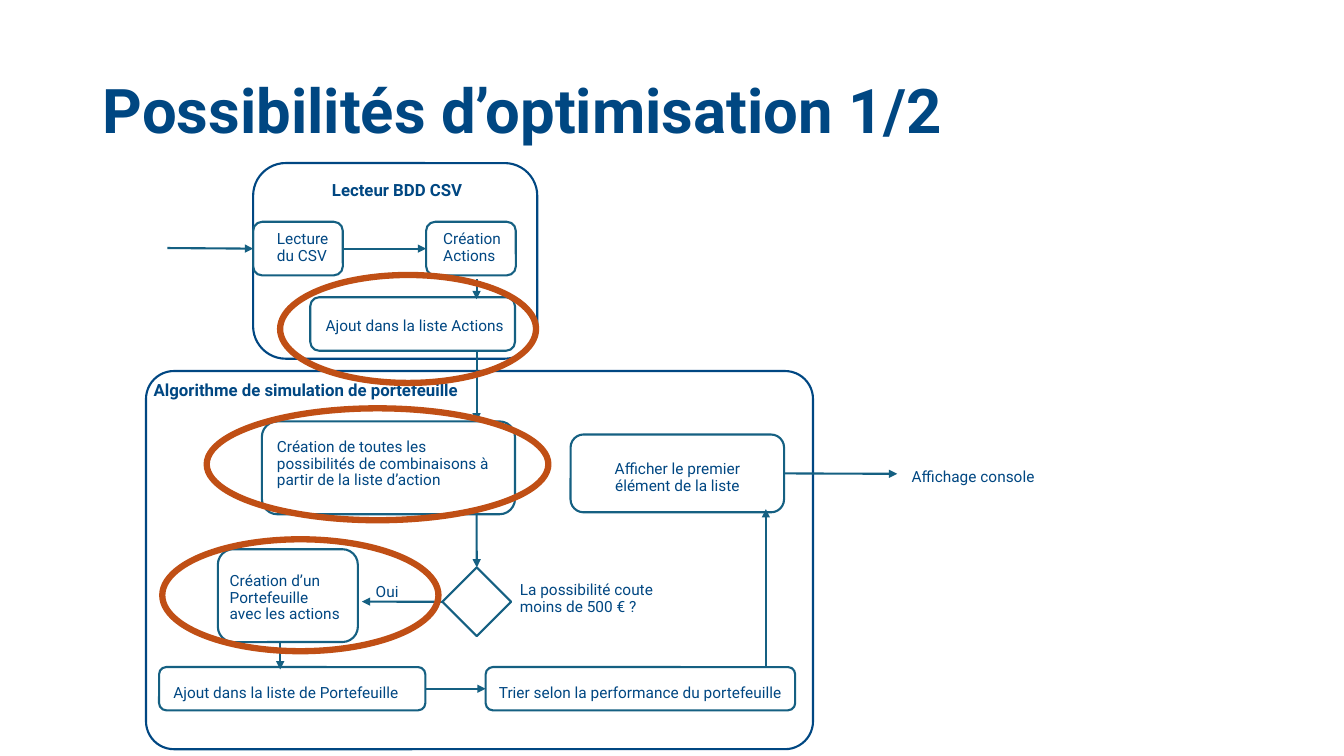
from lxml.etree import SubElement
from pptx import Presentation
from pptx.dml.color import RGBColor
from pptx.enum.shapes import MSO_CONNECTOR, MSO_SHAPE as Shape
from pptx.enum.text import MSO_ANCHOR, PP_ALIGN as Align
from pptx.oxml.ns import qn
from pptx.util import Cm, Pt

NAVY = RGBColor(0x00, 0x47, 0x82)
TEAL = RGBColor(0x15, 0x60, 0x82)
RUST = RGBColor(0xC0, 0x4F, 0x15)
TOP, LEFT, RIGHT = 0, 1, 3
SPINE = 12.01


class FlowSlide:
    """Draws the parts of a flowchart on one slide in a shared style."""

    body = {"name": "Roboto", "size": Pt(11), "bold": False}
    heading = {"name": "Roboto", "size": Pt(12), "bold": True}
    title = {"name": "Roboto", "size": Pt(44), "bold": True}
    frame_format = {"word_wrap": True, "vertical_anchor": MSO_ANCHOR.MIDDLE}

    def __init__(self, slide):
        self.shapes = slide.shapes

    def outline(self, area, kind=Shape.ROUNDED_RECTANGLE, color=TEAL, width=1.5, corner=None):
        figure = self.shapes.add_shape(kind, *map(Cm, area))
        figure.shadow.inherit = False
        figure.fill.background()
        figure.line.color.rgb = color
        figure.line.width = Pt(width)
        if corner is not None:
            figure.adjustments[0] = corner
        return figure

    def text(self, wording, area, align=Align.LEFT, style=body):
        frame = self.shapes.add_textbox(*map(Cm, area)).text_frame
        for key, value in self.frame_format.items():
            setattr(frame, key, value)
        frame.text = wording
        for paragraph in frame.paragraphs:
            paragraph.alignment = align
            paragraph.line_spacing = 0.9
            for key, value in style.items():
                setattr(paragraph.font, key, value)
            paragraph.font.color.rgb = NAVY

    def arrow(self, start=(0, 0), end=(0, 0), source=None, target=None):
        link = self.shapes.add_connector(MSO_CONNECTOR.STRAIGHT, *map(Cm, start + end))
        if source:
            link.begin_connect(*source)
        if target:
            link.end_connect(*target)
        link.line.color.rgb = TEAL
        link.line.width = Pt(1.5)
        properties = link._element.spPr
        SubElement(properties.find(qn("a:ln")), qn("a:tailEnd"), type="triangle")
        SubElement(properties, qn("a:effectLst"))


def main():
    prs = Presentation()
    prs.slide_width, prs.slide_height = Cm(33.87), Cm(19.05)
    flow = FlowSlide(prs.slides.add_slide(prs.slide_layouts[6]))

    flow.text("Possibilités d’optimisation 1/2", (2.34, 1.02, 29.21, 3.68), style=flow.title)

    flow.outline((6.38, 4.11, 7.16, 4.93), color=NAVY)
    flow.outline((3.68, 9.35, 16.81, 9.53), color=NAVY, corner=0.074)
    for wording, area in (
        ("Lecteur BDD CSV", (6.43, 4.06, 7.16, 1.52)),
        ("Algorithme de simulation de portefeuille", (3.43, 9.09, 8.56, 1.52)),
    ):
        flow.text(wording, area, Align.CENTER, flow.heading)

    reading = flow.outline((6.38, 5.59, 2.26, 1.35))
    creation = flow.outline((10.74, 5.59, 2.26, 1.35))
    flow.outline((7.82, 7.49, 5.16, 1.35))
    flow.outline((6.6, 10.62, 6.38, 2.34))
    flow.outline((5.49, 13.84, 3.53, 2.34))
    decision = flow.outline((11.15, 14.3, 1.73, 1.73), Shape.DIAMOND)
    listing = flow.outline((4.01, 16.81, 6.71, 1.09))
    sorting = flow.outline((12.24, 16.81, 7.8, 1.09))
    display = flow.outline((14.38, 10.95, 5.38, 1.96))

    for wording, area in (
        ("Lecture du CSV", (6.73, 5.49, 2.16, 1.52)),
        ("Création Actions", (10.92, 5.49, 2.16, 1.52)),
        ("Création de toutes les possibilités de combinaisons à partir de la liste d’action",
         (6.73, 10.57, 6.25, 2.26)),
        ("La possibilité coute moins de 500 € ?", (12.85, 14.33, 3.91, 1.52)),
        ("Oui", (9.22, 14.17, 1.27, 1.52)),
        ("Création d’un\nPortefeuille\navec les actions", (5.54, 13.94, 4.01, 2.26)),
    ):
        flow.text(wording, area)

    for wording, area in (
        ("Ajout dans la liste Actions", (7.8, 7.47, 5.31, 1.52)),
        ("Ajout dans la liste de Portefeuille", (4.01, 16.71, 6.4, 1.52)),
        ("Trier selon la performance du portefeuille", (12.24, 16.71, 7.8, 1.52)),
        ("Afficher le premier élément de la liste", (14.55, 11.28, 5.05, 1.52)),
        ("Affichage console", (22, 11.28, 5.05, 1.52)),
    ):
        flow.text(wording, area, Align.CENTER)

    flow.arrow(start=(4.22, 6.25), target=(reading, LEFT))
    flow.arrow(source=(reading, RIGHT), target=(creation, LEFT))
    flow.arrow((SPINE, 7.04), (SPINE, 7.54))
    flow.arrow((SPINE, 8.86), (SPINE, 10.62))
    flow.arrow(start=(SPINE, 12.95), target=(decision, TOP))
    flow.arrow(end=(9.12, 15.16), source=(decision, LEFT))
    flow.arrow((7.06, 16.21), (7.06, 16.87))
    flow.arrow(source=(listing, RIGHT), target=(sorting, LEFT))
    flow.arrow((19.3, 16.81), (19.3, 12.83))
    flow.arrow(end=(22.61, 11.94), source=(display, RIGHT))

    for area in (
        (7.06, 6.93, 6.45, 2.72),
        (4.09, 13.59, 6.96, 2.82),
        (5.21, 10.29, 8.61, 2.82),
    ):
        flow.outline(area, Shape.OVAL, RUST, 4.5)

    prs.save("out.pptx")


if __name__ == "__main__":
    main()
